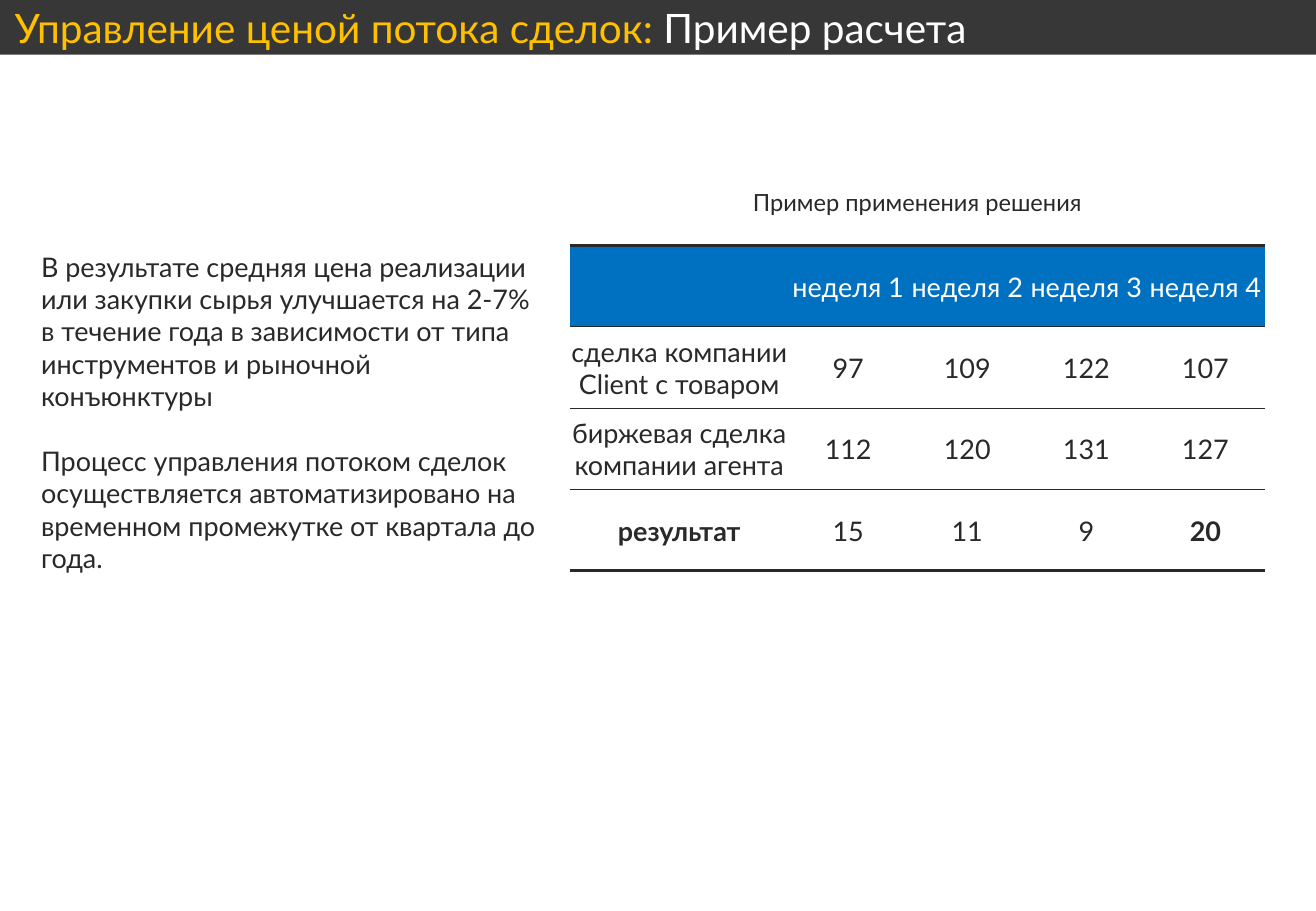
from dataclasses import dataclass

import lxml.etree
import pptx
import pptx.dml.color
import pptx.enum.shapes
import pptx.enum.text
import pptx.oxml
import pptx.oxml.ns
import pptx.util

Inches = pptx.util.Inches
Align = pptx.enum.text.PP_ALIGN
Anchor = pptx.enum.text.MSO_ANCHOR


@dataclass(frozen=True)
class Theme:
    font: str = "Lato"
    bar: str = "373737"
    accent: str = "FFC000"
    header: str = "0070C0"
    text: str = "292929"
    white: str = "FFFFFF"
    title_size: float = 24
    body_size: float = 16
    caption_size: float = 14
    thin_line: float = 0.75
    thick_line: float = 2


@dataclass(frozen=True)
class Run:
    text: str
    size: float
    color: str
    bold: bool = False


@dataclass(frozen=True)
class TextBlock:
    left: float
    top: float
    width: float
    height: float
    paragraphs: tuple[str, ...]
    size: float
    alignment: Align


THEME = Theme()
TITLE = (
    Run("Управление ценой потока сделок:", THEME.title_size, THEME.accent),
    Run(" Пример расчета", THEME.title_size, THEME.white),
)
TEXT_BLOCKS = (
    TextBlock(0.24, 2.01, 4.37, 2.52, (
        "В результате средняя цена реализации или закупки сырья улучшается на 2-7% "
        "в течение года в зависимости от типа инструментов и рыночной конъюнктуры",
        "Процесс управления потоком сделок осуществляется автоматизировано на "
        "временном промежутке от квартала до года.",
    ), THEME.body_size, Align.LEFT),
    TextBlock(5.91, 1.5, 3.28, 0.34, ("Пример применения решения",),
              THEME.caption_size, Align.CENTER),
)
TABLE_ROWS = (
    ("", "неделя 1", "неделя 2", "неделя 3", "неделя 4"),
    ("сделка компании Client с товаром", "97", "109", "122", "107"),
    ("биржевая сделка компании агента", "112", "120", "131", "127"),
    ("результат", "15", "11", "9", "20"),
)
BOLD_CELLS = ("результат", "20")
COLUMN_WIDTHS = (1.8, 0.98, 0.98, 0.98, 0.98)
ROW_HEIGHT = 0.67


def apply_format(target: object, values: dict) -> None:
    for name, value in values.items():
        setattr(target, name, value)


def rgb(color: str) -> pptx.dml.color.RGBColor:
    return pptx.dml.color.RGBColor.from_string(color)


def add_run(paragraph, content: Run) -> None:
    run = paragraph.add_run()
    run.text = content.text
    apply_format(run.font, {"name": THEME.font, "size": pptx.util.Pt(content.size),
                            "bold": content.bold})
    run.font.color.rgb = rgb(content.color)


def add_title_bar(slide, width: int) -> None:
    shape = slide.shapes.add_shape(pptx.enum.shapes.MSO_SHAPE.RECTANGLE,
                                   0, 0, width, Inches(0.45))
    shape.shadow.inherit = False
    shape.fill.solid()
    shape.fill.fore_color.rgb = rgb(THEME.bar)
    shape.line.fill.background()
    apply_format(shape.text_frame, {
        "word_wrap": True, "vertical_anchor": Anchor.MIDDLE,
        "margin_left": Inches(0.12), "margin_right": Inches(0.08),
        "margin_top": Inches(0.04), "margin_bottom": Inches(0.04)})
    paragraph = shape.text_frame.paragraphs[0]
    paragraph.alignment = Align.LEFT
    for content in TITLE:
        add_run(paragraph, content)


def add_text_block(slide, block: TextBlock) -> None:
    shape = slide.shapes.add_textbox(Inches(block.left), Inches(block.top),
                                     Inches(block.width), Inches(block.height))
    frame = shape.text_frame
    frame.word_wrap = True
    for index, text in enumerate(block.paragraphs):
        paragraph = frame.add_paragraph() if index else frame.paragraphs[0]
        paragraph.alignment = block.alignment
        if index:
            paragraph.space_before = pptx.util.Pt(block.size * 1.2)
        add_run(paragraph, Run(text, block.size, THEME.text))


def set_borders(cell, top: float, bottom: float) -> None:
    """Draw horizontal rules only; a zero width means no line."""
    properties = cell._tc.get_or_add_tcPr()
    widths = {"a:lnL": 0, "a:lnR": 0, "a:lnT": top, "a:lnB": bottom}
    for position, (tag, width) in enumerate(widths.items()):
        line = pptx.oxml.parse_xml(f"<{tag} {pptx.oxml.ns.nsdecls('a')}/>")
        line.set("w", str(int(pptx.util.Pt(width))))
        fill = lxml.etree.SubElement(
            line, pptx.oxml.ns.qn("a:solidFill" if width else "a:noFill"))
        if width:
            color = lxml.etree.SubElement(fill, pptx.oxml.ns.qn("a:srgbClr"))
            color.set("val", THEME.text)
        properties.insert(position, line)


def add_deal_table(slide) -> None:
    row_count = len(TABLE_ROWS)
    table = slide.shapes.add_table(
        row_count, len(COLUMN_WIDTHS), Inches(4.69), Inches(2.02),
        Inches(sum(COLUMN_WIDTHS)), Inches(ROW_HEIGHT * row_count)).table
    apply_format(table, {"first_row": False, "horz_banding": False})
    for column, width in zip(table.columns, COLUMN_WIDTHS):
        column.width = Inches(width)

    for row_index, texts in enumerate(TABLE_ROWS):
        table.rows[row_index].height = Inches(ROW_HEIGHT)
        is_header = row_index == 0
        top = THEME.thick_line if is_header else THEME.thin_line
        bottom = THEME.thick_line if row_index == row_count - 1 else THEME.thin_line
        for column_index, text in enumerate(texts):
            cell = table.cell(row_index, column_index)
            apply_format(cell, {
                "vertical_anchor": Anchor.MIDDLE, "margin_left": Inches(0.01),
                "margin_right": Inches(0.01), "margin_top": Inches(0.01),
                "margin_bottom": 0})
            cell.fill.solid()
            cell.fill.fore_color.rgb = rgb(THEME.header if is_header else THEME.white)
            set_borders(cell, top, bottom)
            if text:
                paragraph = cell.text_frame.paragraphs[0]
                paragraph.alignment = Align.CENTER
                add_run(paragraph, Run(text, THEME.body_size,
                                       THEME.white if is_header else THEME.text,
                                       text in BOLD_CELLS))


def main() -> None:
    presentation = pptx.Presentation()
    apply_format(presentation, {"slide_width": Inches(10.83),
                                "slide_height": Inches(7.5)})
    slide = presentation.slides.add_slide(presentation.slide_layouts[6])
    # Title bar
    add_title_bar(slide, presentation.slide_width)
    # Explanation and table caption
    for block in TEXT_BLOCKS:
        add_text_block(slide, block)
    # Weekly deal prices
    add_deal_table(slide)
    presentation.save("out.pptx")


if __name__ == "__main__":
    main()
